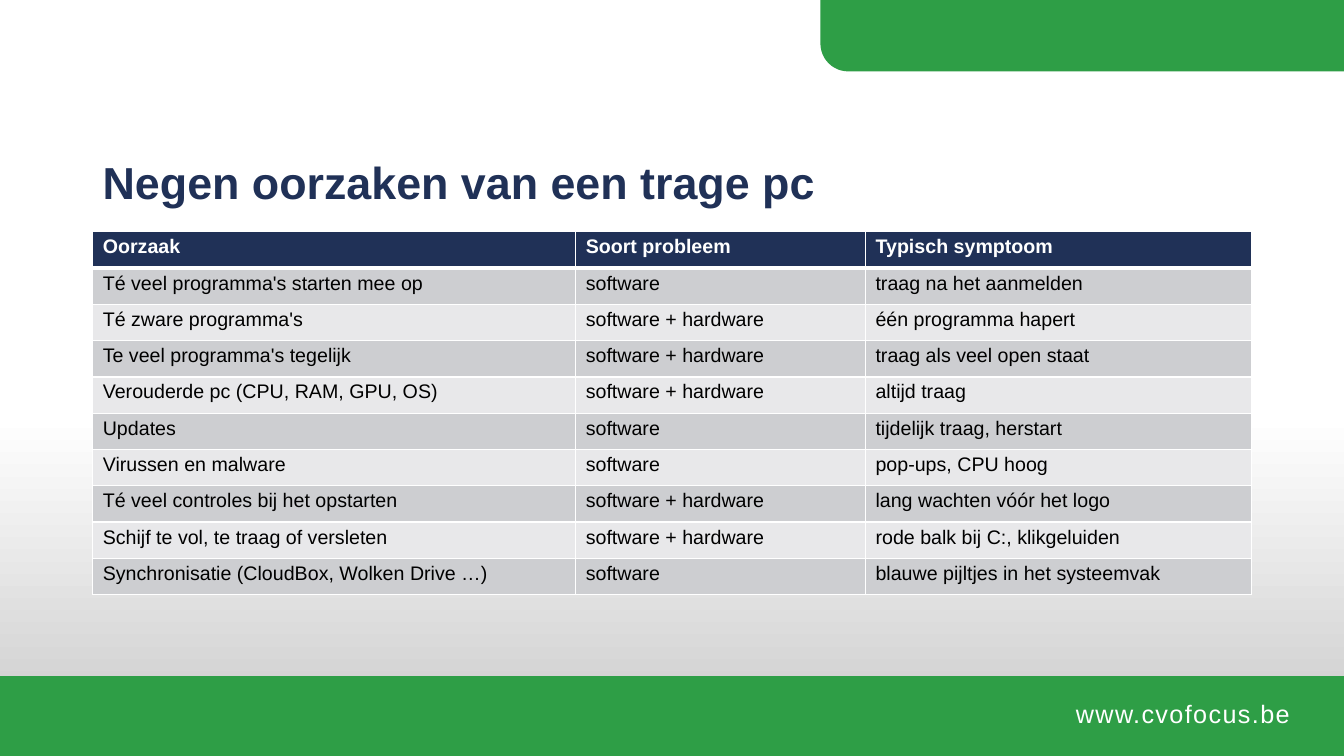
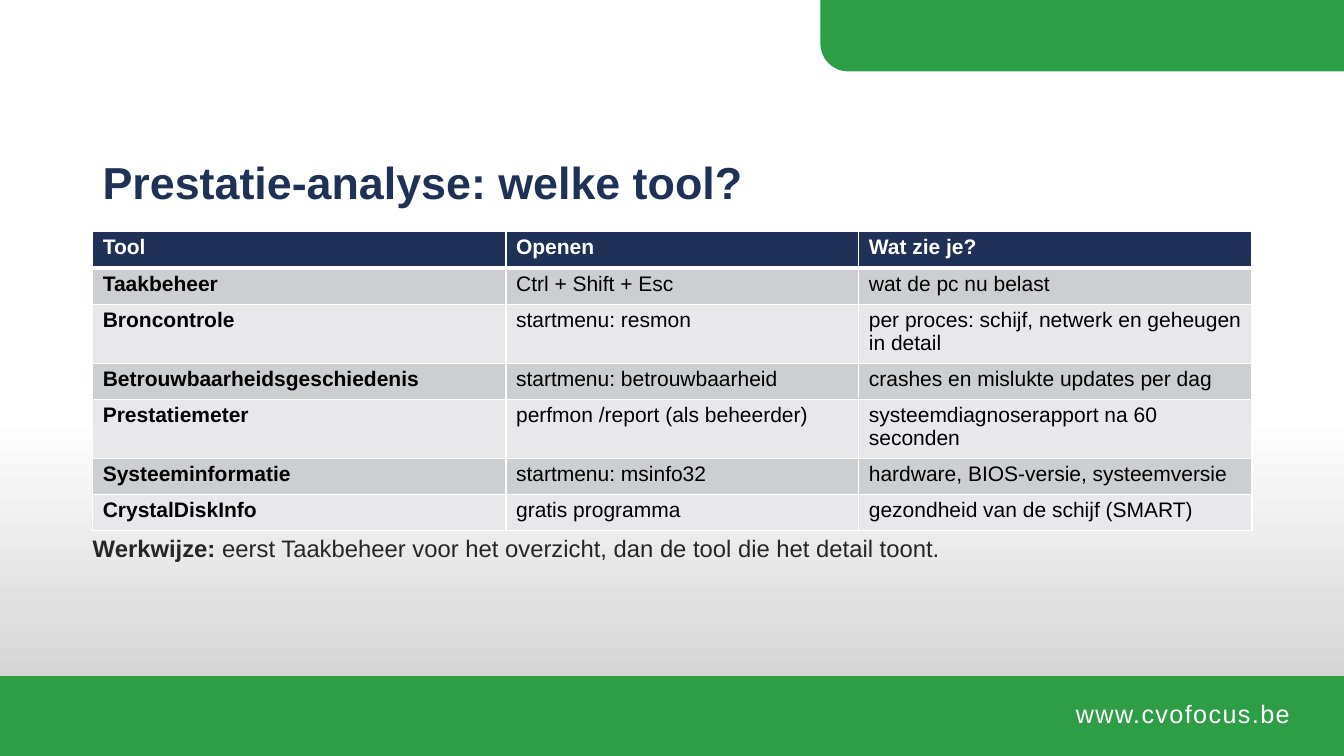
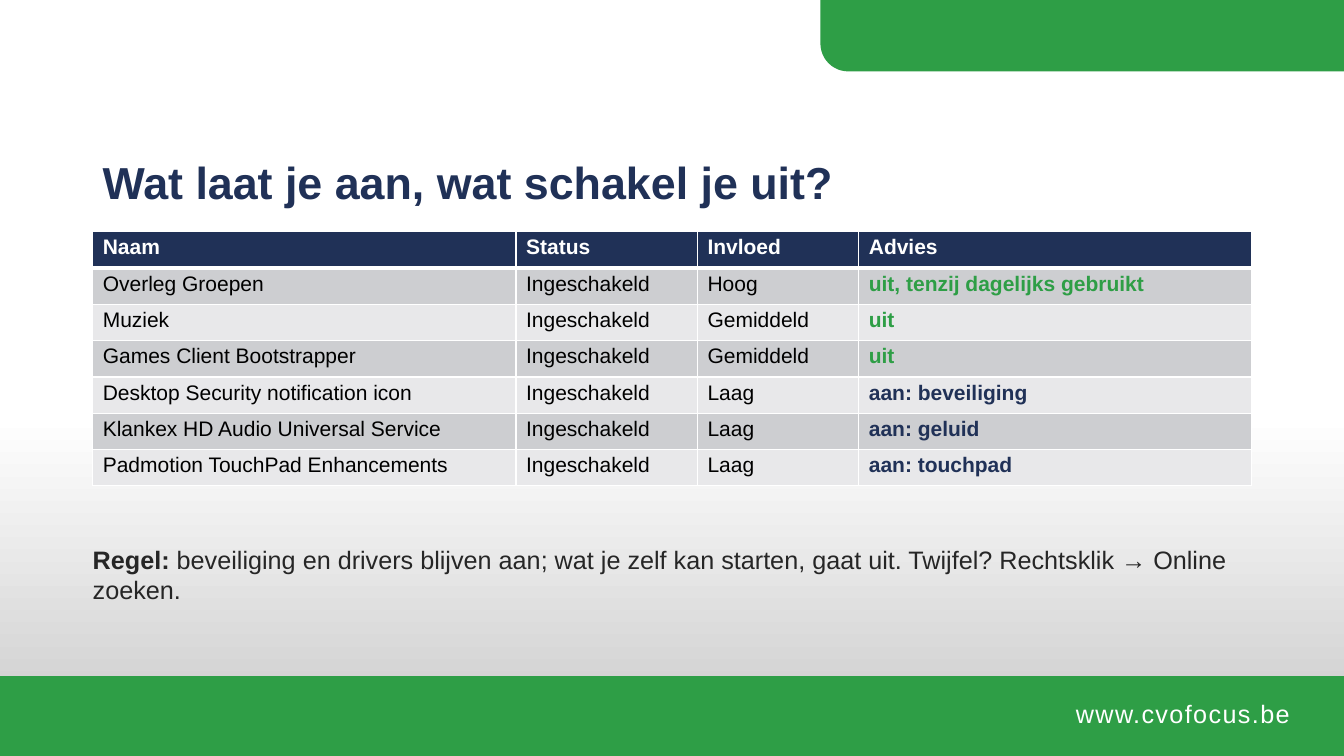
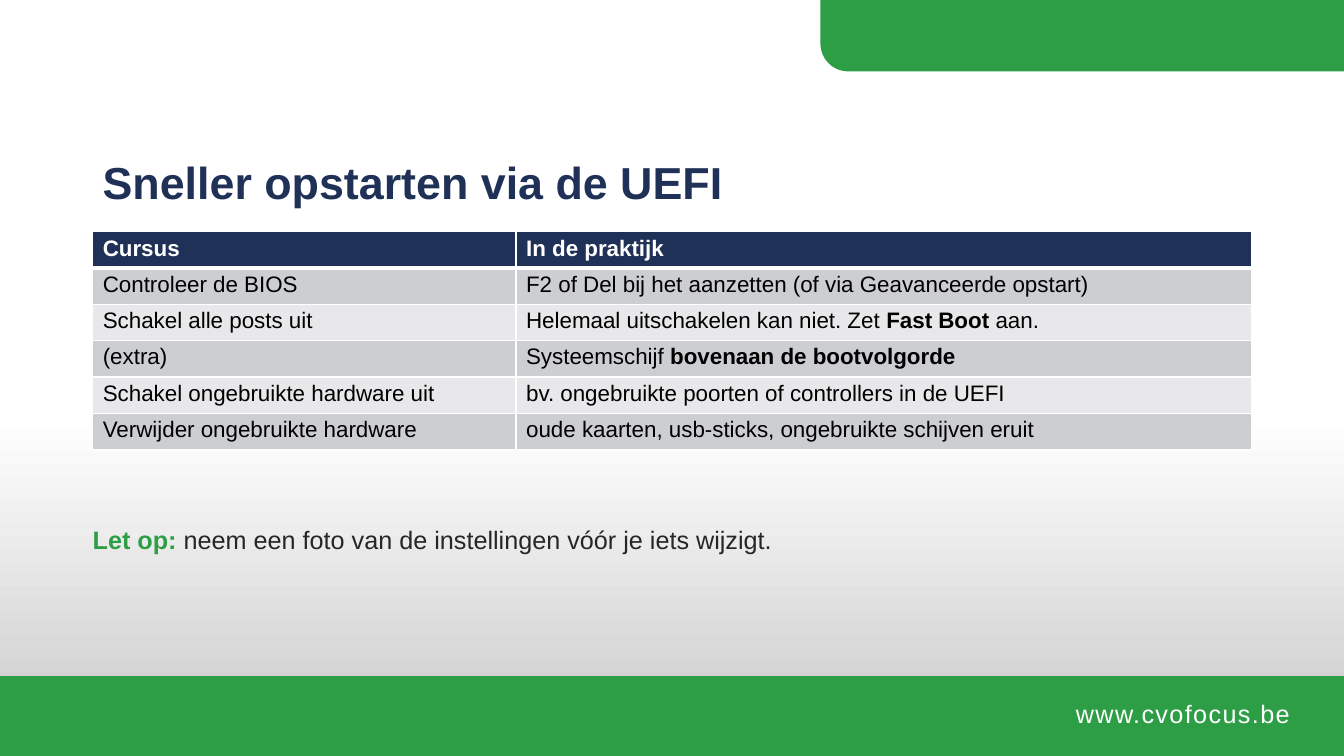
"""Build four slides on finding and fixing a slow pc."""
from collections import namedtuple
from copy import deepcopy

from lxml import etree
from pptx import Presentation
from pptx.dml.color import RGBColor
from pptx.enum import shapes, text
from pptx.oxml import ns
from pptx.util import Pt

GREEN = RGBColor(0x2E, 0x9E, 0x46)
NAVY = RGBColor(0x20, 0x31, 0x57)
WHITE = RGBColor(0xFF, 0xFF, 0xFF)
BLACK = RGBColor(0x00, 0x00, 0x00)
CHARCOAL = RGBColor(0x26, 0x26, 0x26)
SILVER = RGBColor(0xC8, 0xC8, 0xC8)
BAND_DARK = RGBColor(0xCD, 0xCE, 0xD1)
BAND_LIGHT = RGBColor(0xE8, 0xE8, 0xEA)
FONT = "Arial"

Box = namedtuple("Box", "left top width height")
Span = namedtuple("Span", "text bold color", defaults=(False, BLACK))

PAGE = Box(0, 0, 960, 540)
TITLE = Box(66.24, 105.84, 828, 53.28)
TABLE_TOP = 165.6
ROW_HEIGHT = 25.92


def points(box):
    """Return the four lengths of a box in points."""
    return [Pt(length) for length in box]


def add_spans(paragraph, spans, size):
    """Add each span to the paragraph as a run."""
    for span in spans:
        run = paragraph.add_run()
        run.text = span.text
        run.font.name = FONT
        run.font.size = Pt(size)
        run.font.bold = span.bold
        run.font.color.rgb = span.color


def add_text(slide, box, spans, size, anchor=text.MSO_ANCHOR.MIDDLE):
    """Add a wrapping text box and return its frame."""
    frame = slide.shapes.add_textbox(*points(box)).text_frame
    frame.word_wrap = True
    frame.vertical_anchor = anchor
    add_spans(frame.paragraphs[0], spans, size)
    return frame


def add_band(slide, kind, box):
    """Add a plain green shape."""
    band = slide.shapes.add_shape(kind, *points(box))
    band.shadow.inherit = False
    band.fill.solid()
    band.fill.fore_color.rgb = GREEN
    band.line.fill.background()
    return band


def add_background(slide):
    """Fade the slide from white to silver in its lower part."""
    fill = slide.background.fill
    fill.gradient()
    fill.gradient_angle = 270
    for stop, position, color in zip(fill.gradient_stops, (0.55, 1), (WHITE, SILVER)):
        stop.position = position
        stop.color.rgb = color
    stops = slide.element.find(".//" + ns.qn("a:gsLst"))
    first = deepcopy(stops[0])
    first.set("pos", "0")
    stops.insert(0, first)


def add_frame(slide, page):
    """Add the corner tab, the footer band and the web address."""
    tab_width, footer_height, address_width = 374, 57, 230
    right, bottom = page.left + page.width, page.top + page.height
    tab = add_band(slide, shapes.MSO_SHAPE.ROUND_1_RECTANGLE,
                   Box(right - tab_width, page.top, tab_width, 51))
    tab.rotation = 180
    tab.adjustments[0] = 0.39
    footer = Box(page.left, bottom - footer_height, page.width, footer_height)
    add_band(slide, shapes.MSO_SHAPE.RECTANGLE, footer)
    address = Box(right - address_width, footer.top - 2, address_width, footer_height)
    paragraph = add_text(slide, address, [Span("www.cvofocus.be", False, WHITE)], 18).paragraphs[0]
    paragraph.alignment = text.PP_ALIGN.CENTER
    paragraph.runs[0].font._element.set("spc", "100")


def add_title(slide, box, title):
    """Add the slide title."""
    frame = add_text(slide, box, [Span(title, True, NAVY)], 32)
    frame.paragraphs[0].line_spacing = 0.9


def set_borders(cell, top, bottom):
    """Give a cell white borders, one point wide at the sides."""
    properties = cell._tc.get_or_add_tcPr()
    for side, width in (("L", 1), ("R", 1), ("T", top), ("B", bottom)):
        line = etree.SubElement(properties, ns.qn("a:ln" + side), w=str(Pt(width)))
        solid = etree.SubElement(line, ns.qn("a:solidFill"))
        etree.SubElement(solid, ns.qn("a:srgbClr"), val=str(WHITE))


def fill_cell(cell, spans, size, row):
    """Style one cell by its row and write its spans."""
    set_borders(cell, 3 if row == 1 else 1, 3 if row == 0 else 1)
    cell.margin_left = cell.margin_right = Pt(7.2)
    cell.margin_top = cell.margin_bottom = Pt(3)
    cell.fill.solid()
    cell.fill.fore_color.rgb = NAVY if row == 0 else (BAND_LIGHT, BAND_DARK)[row % 2]
    add_spans(cell.text_frame.paragraphs[0], spans, size)


def add_grid(slide, left, top, widths, header, rows, size):
    """Add a table with a navy header and banded rows."""
    lines = [[Span(label, True, WHITE) for label in header], *rows]
    box = Box(left, top, sum(widths), ROW_HEIGHT * len(lines))
    table = slide.shapes.add_table(len(lines), len(widths), *points(box)).table
    table.horz_banding = False
    for column, width in zip(table.columns, widths):
        column.width = Pt(width)
    for row, line in enumerate(lines):
        table.rows[row].height = Pt(ROW_HEIGHT)
        for column, content in enumerate(line):
            if isinstance(content, str):
                content = Span(content)
            spans = [content] if isinstance(content, Span) else content
            fill_cell(table.cell(row, column), spans, size, row)


def add_note(slide, box, label, sentence, size, label_color=CHARCOAL):
    """Add a sentence that opens with a bold label."""
    spans = [Span(label + " ", True, label_color), Span(sentence, False, CHARCOAL)]
    frame = add_text(slide, box, spans, size, text.MSO_ANCHOR.TOP)
    frame.margin_left = frame.margin_right = 0
    frame.auto_size = text.MSO_AUTO_SIZE.SHAPE_TO_FIT_TEXT


def add_table_slide(presentation, title, widths, header, rows, size):
    """Add a framed slide with a title and a table."""
    slide = presentation.slides.add_slide(presentation.slide_layouts[6])
    add_background(slide)
    add_frame(slide, PAGE)
    add_title(slide, TITLE, title)
    add_grid(slide, TITLE.left, TABLE_TOP, widths, header, rows, size)
    return slide


def note_box(top, height=64.8):
    """Return a box as wide as the title."""
    return Box(TITLE.left, top, TITLE.width, height)


def add_causes(presentation):
    """Add the slide with nine causes."""
    both = "software + hardware"
    rows = [
        ("Té veel programma's starten mee op", "software", "traag na het aanmelden"),
        ("Té zware programma's", both, "één programma hapert"),
        ("Te veel programma's tegelijk", both, "traag als veel open staat"),
        ("Verouderde pc (CPU, RAM, GPU, OS)", both, "altijd traag"),
        ("Updates", "software", "tijdelijk traag, herstart"),
        ("Virussen en malware", "software", "pop-ups, CPU hoog"),
        ("Té veel controles bij het opstarten", both, "lang wachten vóór het logo"),
        ("Schijf te vol, te traag of versleten", both, "rode balk bij C:, klikgeluiden"),
        ("Synchronisatie (CloudBox, Wolken Drive …)", "software", "blauwe pijltjes in het systeemvak"),
    ]
    add_table_slide(presentation, "Negen oorzaken van een trage pc", (345, 207, 276),
                    ("Oorzaak", "Soort probleem", "Typisch symptoom"), rows, 14)


def add_tools(presentation):
    """Add the slide with analysis tools."""
    tools = [
        ("Taakbeheer", "Ctrl + Shift + Esc", "wat de pc nu belast"),
        ("Broncontrole", "startmenu: resmon", "per proces: schijf, netwerk en geheugen in detail"),
        ("Betrouwbaarheidsgeschiedenis", "startmenu: betrouwbaarheid", "crashes en mislukte updates per dag"),
        ("Prestatiemeter", "perfmon /report (als beheerder)", "systeemdiagnoserapport na 60 seconden"),
        ("Systeeminformatie", "startmenu: msinfo32", "hardware, BIOS-versie, systeemversie"),
        ("CrystalDiskInfo", "gratis programma", "gezondheid van de schijf (SMART)"),
    ]
    rows = [(Span(name, True), command, view) for name, command, view in tools]
    slide = add_table_slide(presentation, "Prestatie-analyse: welke tool?", (295.2, 252, 280.8),
                            ("Tool", "Openen", "Wat zie je?"), rows, 15)
    add_note(slide, note_box(378), "Werkwijze:",
             "eerst Taakbeheer voor het overzicht, dan de tool die het detail toont.", 17)


def add_startup(presentation):
    """Add the slide with advice on startup programs."""
    programs = [
        ("Overleg Groepen", "Hoog", "uit, tenzij dagelijks gebruikt"),
        ("Muziek", "Gemiddeld", "uit"),
        ("Games Client Bootstrapper", "Gemiddeld", "uit"),
        ("Desktop Security notification icon", "Laag", "aan: beveiliging"),
        ("Klankex HD Audio Universal Service", "Laag", "aan: geluid"),
        ("Padmotion TouchPad Enhancements", "Laag", "aan: touchpad"),
    ]
    rows = [(name, "Ingeschakeld", impact,
             Span(advice, True, NAVY if advice.startswith("aan") else GREEN))
            for name, impact, advice in programs]
    slide = add_table_slide(presentation, "Wat laat je aan, wat schakel je uit?",
                            (302.4, 129.6, 115.2, 280.8),
                            ("Naam", "Status", "Invloed", "Advies"), rows, 15)
    add_note(slide, note_box(385.2), "Regel:",
             "beveiliging en drivers blijven aan; wat je zelf kan starten, gaat uit. "
             "Twijfel? Rechtsklik → Online zoeken.", 18)


def add_firmware(presentation):
    """Add the slide with firmware settings."""
    rows = [
        ("Controleer de BIOS", "F2 of Del bij het aanzetten (of via Geavanceerde opstart)"),
        ("Schakel alle posts uit",
         [Span("Helemaal uitschakelen kan niet. Zet "), Span("Fast Boot", True), Span(" aan.")]),
        ("(extra)", [Span("Systeemschijf "), Span("bovenaan de bootvolgorde", True)]),
        ("Schakel ongebruikte hardware uit", "bv. ongebruikte poorten of controllers in de UEFI"),
        ("Verwijder ongebruikte hardware", "oude kaarten, usb-sticks, ongebruikte schijven eruit"),
    ]
    slide = add_table_slide(presentation, "Sneller opstarten via de UEFI", (302.4, 525.6),
                            ("Cursus", "In de praktijk"), rows, 16)
    add_note(slide, note_box(370.8, 72), "Let op:",
             "neem een foto van de instellingen vóór je iets wijzigt.", 18, GREEN)


def main():
    """Build and save the presentation."""
    presentation = Presentation()
    presentation.slide_width = Pt(PAGE.width)
    presentation.slide_height = Pt(PAGE.height)
    for add_slide in (add_causes, add_tools, add_startup, add_firmware):
        add_slide(presentation)
    presentation.save("out.pptx")


if __name__ == "__main__":
    main()
